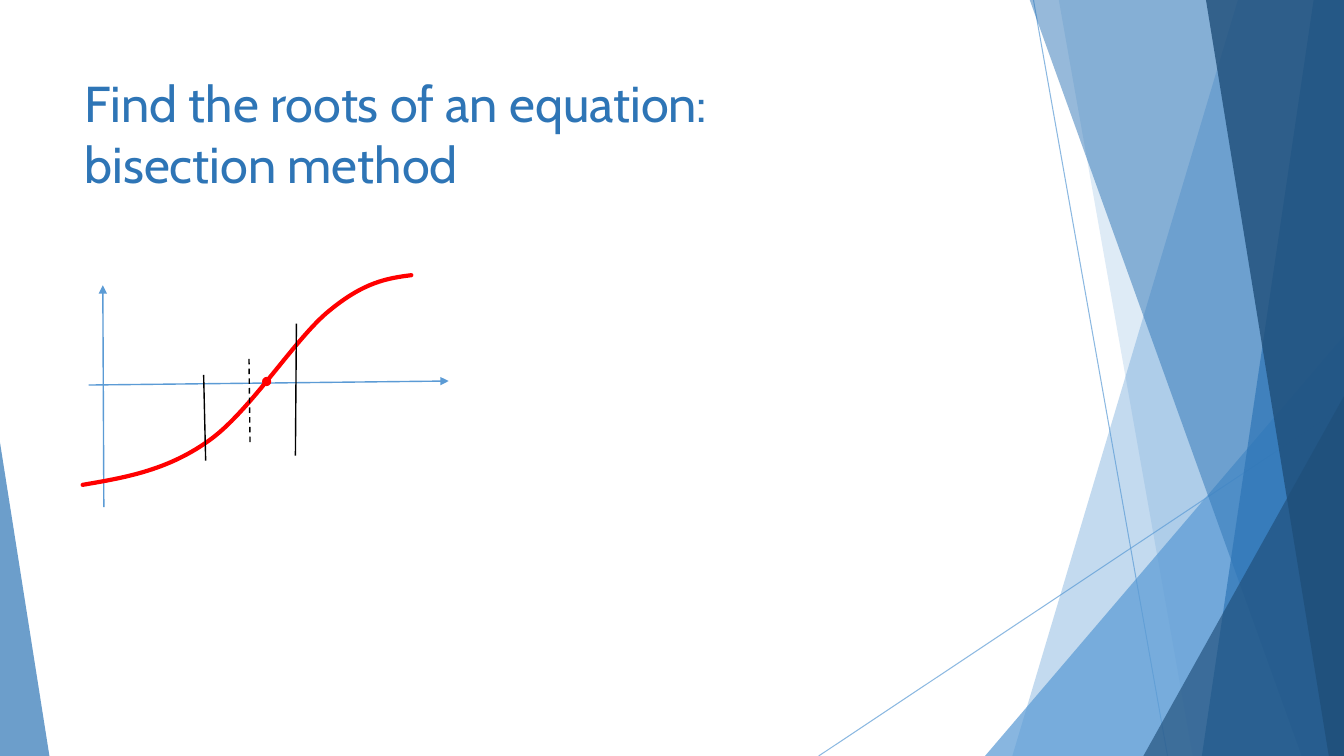
from dataclasses import dataclass

from pptx import Presentation
from pptx import util as u
from pptx.dml.color import RGBColor
from pptx.enum import dml, shapes, text
from pptx.oxml.ns import qn
from pptx.oxml.xmlchemy import OxmlElement

PX = 9144  # EMU in one px: 100 px to the inch
WIDTH, HEIGHT = 1333, 750


@dataclass(frozen=True)
class Theme:
    font: str = "Cabin"
    title_size: int = 36
    light: str = "5B9BD5"
    medium: str = "2E75B6"
    dark: str = "1F4E79"
    curve: str = "FF0000"
    bound: str = "000000"


THEME = Theme()


def px(*lengths):
    return [u.Emu(length * PX) for length in lengths]


def add_element(parent, tag, **attributes):
    element = OxmlElement(tag)
    for name, value in attributes.items():
        element.set(name, value)
    parent.append(element)


def paint(fill, color, opacity=100):
    fill.solid()
    fill.fore_color.rgb = RGBColor.from_string(color)
    if opacity < 100:
        color_element = fill._xPr.find(qn("a:solidFill"))[0]
        add_element(color_element, "a:alpha", val=str(opacity * 1000))


def add_line(slide, start, end, color, width=1, opacity=100, dashed=False, arrow=False):
    connector = slide.shapes.add_connector(
        shapes.MSO_CONNECTOR.STRAIGHT, *px(*start, *end))
    paint(connector.line.fill, color, opacity)
    connector.line.width = u.Pt(width)
    if dashed:
        connector.line.dash_style = dml.MSO_LINE.DASH
    if arrow:
        add_element(connector.line.fill._xPr, "a:tailEnd", type="triangle")
    add_element(connector._element.spPr, "a:effectLst")


def add_outline(slide, points, close):
    builder = slide.shapes.build_freeform(*points[0], scale=PX)
    builder.add_line_segments(points[1:], close=close)
    shape = builder.convert_to_shape()
    shape.shadow.inherit = False
    return shape


def add_band(slide, top_left, bottom_left, bottom_right, color, opacity):
    """Full-height band that reaches the right edge at the top."""
    points = [(top_left, -1), (WIDTH, -1), (bottom_right, HEIGHT), (bottom_left, HEIGHT)]
    band = add_outline(slide, points, close=True)
    paint(band.fill, color, opacity)
    band.line.fill.background()


def add_corner(slide, left, top, width, apex, color, opacity):
    """Triangle that stands on the bottom edge."""
    corner = slide.shapes.add_shape(
        shapes.MSO_SHAPE.ISOSCELES_TRIANGLE, *px(left, top, width, HEIGHT - top))
    corner.adjustments[0] = apex
    corner.shadow.inherit = False
    paint(corner.fill, color, opacity)
    corner.line.fill.background()


def add_curve(slide, points, color, width):
    """Bezier curve: a start point, then three points per segment."""
    curve = add_outline(slide, points, close=False)
    curve.fill.background()
    paint(curve.line.fill, color)
    curve.line.width = u.Pt(width)
    curve.line.fill._xPr.set("cap", "rnd")
    outline = next(curve._element.iter(qn("a:path")))
    steps = outline.findall(qn("a:lnTo"))
    for first in range(0, len(steps), 3):
        segment = OxmlElement("a:cubicBezTo")
        for step in steps[first:first + 3]:
            segment.append(step[0])
            outline.remove(step)
        outline.append(segment)


def add_dot(slide, left, top, size, color):
    dot = slide.shapes.add_shape(shapes.MSO_SHAPE.OVAL, *px(left, top, size, size))
    dot.shadow.inherit = False
    paint(dot.fill, color)
    paint(dot.line.fill, color)
    dot.line.width = u.Pt(1.5)


def set_title(slide, wording):
    title = slide.shapes.title
    title.left, title.top, title.width, title.height = px(74, 67, 940, 144)
    frame = title.text_frame
    frame.text = wording
    frame.word_wrap = True
    frame.auto_size = text.MSO_AUTO_SIZE.NONE
    frame.vertical_anchor = text.MSO_ANCHOR.TOP
    paragraph = frame.paragraphs[0]
    paragraph.alignment = text.PP_ALIGN.LEFT
    paragraph.font.name = THEME.font
    paragraph.font.size = u.Pt(THEME.title_size)
    paragraph.font.color.rgb = RGBColor.from_string(THEME.medium)
    slide.shapes._spTree.append(title._element)  # in front of the decoration


def add_decoration(slide):
    for start, end in [((1025, 0), (1158, HEIGHT)), ((WIDTH, 403), (812, HEIGHT))]:
        add_line(slide, start, end, THEME.light, 0.75, opacity=70)
    add_band(slide, 1228, 1004, WIDTH, THEME.light, 36)
    add_band(slide, 1050, 1183, WIDTH, THEME.light, 20)
    add_corner(slide, 977, 333, 356, 1, THEME.light, 72)
    add_band(slide, 1021, 1291, WIDTH, THEME.medium, 50)
    add_band(slide, 1303, 1192, WIDTH, THEME.medium, 70)
    add_band(slide, 1196, 1318, WIDTH, THEME.dark, 80)
    add_corner(slide, 1134, 393, 199, 1, THEME.dark, 66)
    add_corner(slide, 0, 439, 49, 0, THEME.medium, 70)


def add_bisection_plot(slide):
    # Axes
    add_line(slide, (103, 503), (102, 283), THEME.light, arrow=True)
    add_line(slide, (88, 382), (445, 378), THEME.light, arrow=True)
    # Function and its root
    add_curve(slide, [(82, 481),
                      (123, 474), (165, 467), (206, 438),
                      (247, 410), (293, 335), (327, 308),
                      (361, 280), (384, 276), (408, 273)], THEME.curve, 3)
    add_dot(slide, 261, 375, 7, THEME.curve)
    # Interval bounds and midpoint
    add_line(slide, (202, 372), (204, 457), THEME.bound)
    add_line(slide, (294, 321), (293, 452), THEME.bound)
    add_line(slide, (247, 356), (248, 441), THEME.bound, dashed=True)


def main():
    presentation = Presentation()
    presentation.slide_width, presentation.slide_height = px(WIDTH, HEIGHT)
    title_only = presentation.slide_layouts[5]
    slide = presentation.slides.add_slide(title_only)
    add_decoration(slide)
    set_title(slide, "Find the roots of an equation: \vbisection method")
    add_bisection_plot(slide)
    presentation.save("out.pptx")


if __name__ == "__main__":
    main()
